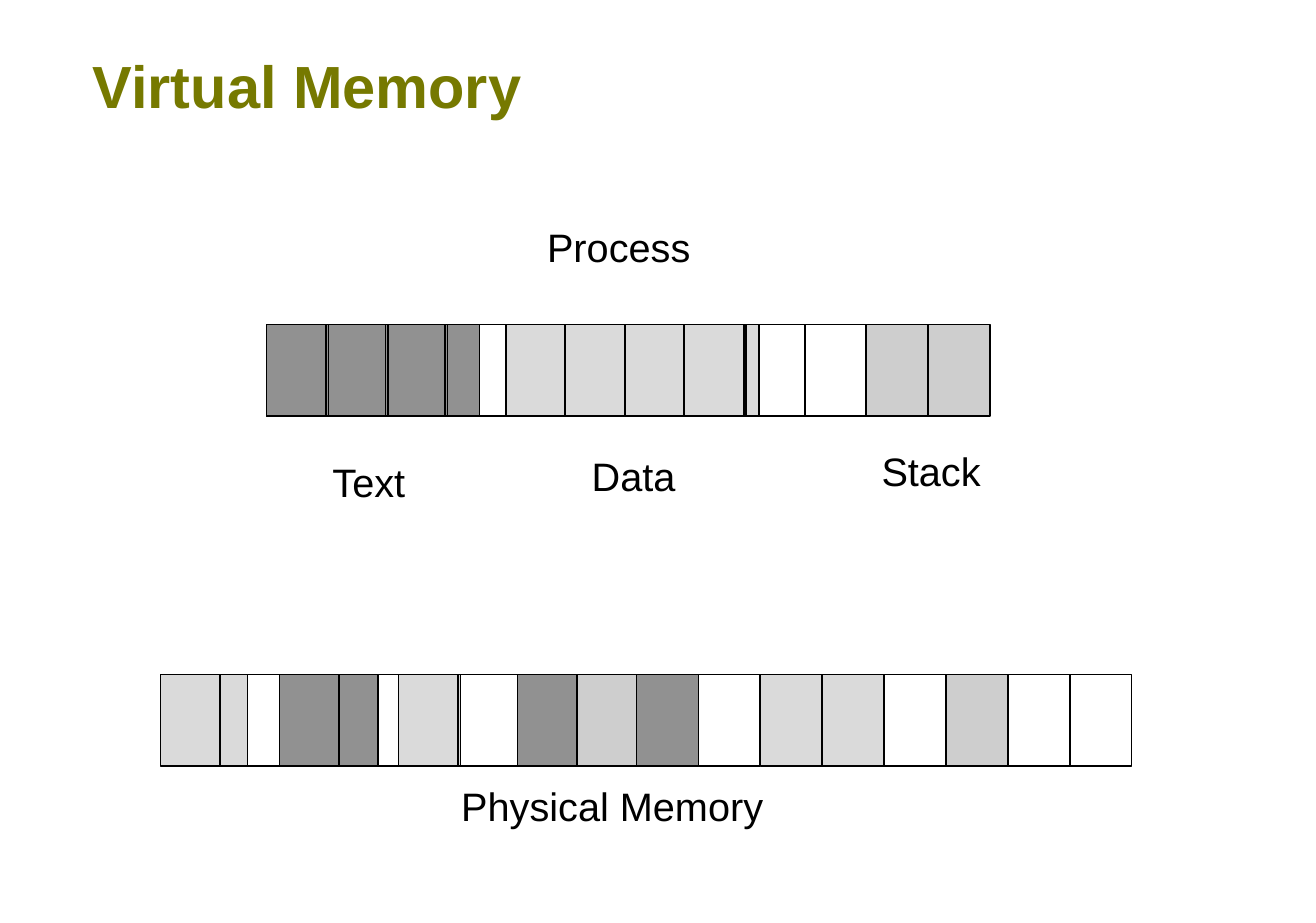
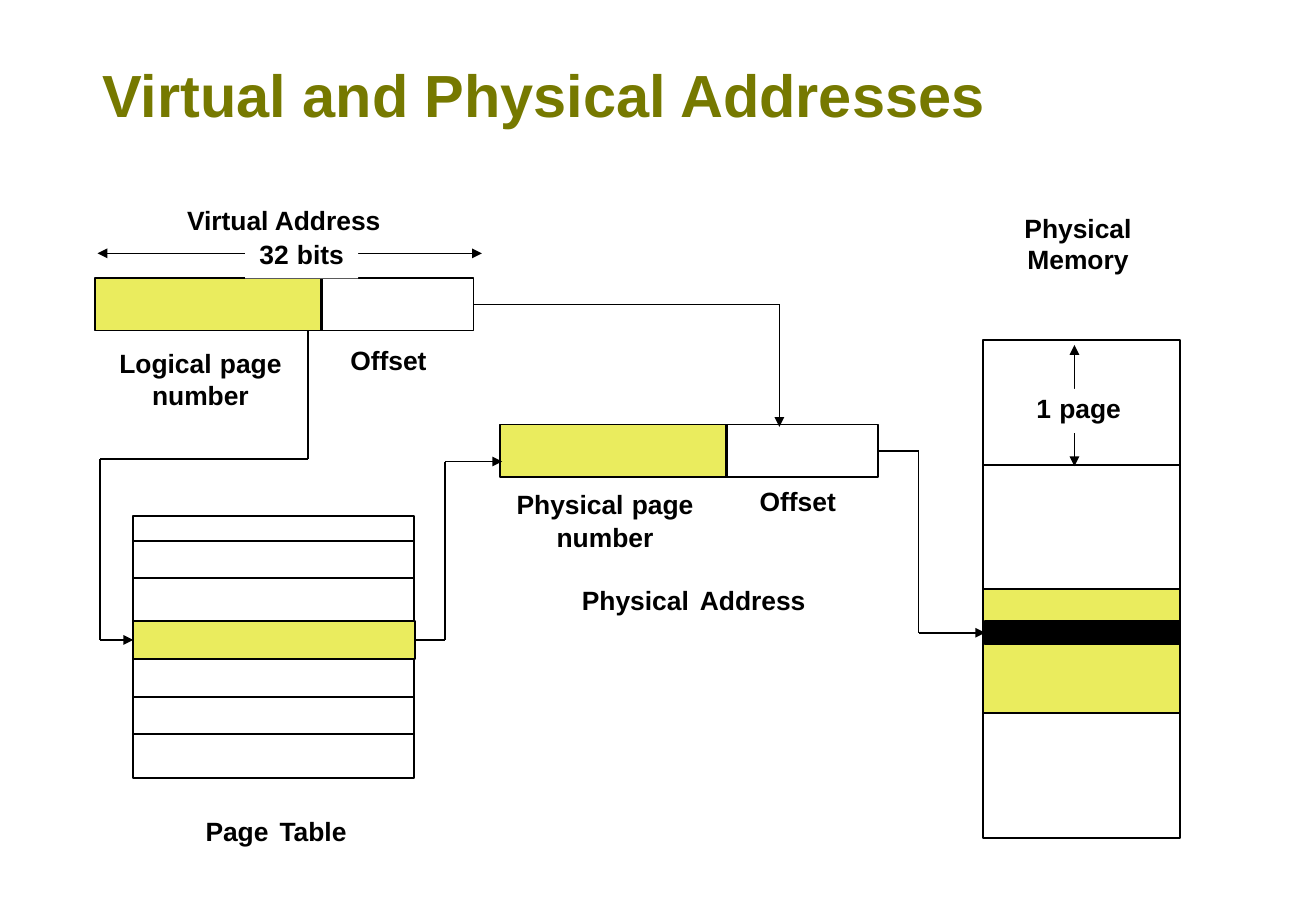
from lxml import etree
from pptx import Presentation
from pptx.dml.color import RGBColor
from pptx.enum import shapes, text
from pptx.oxml import ns
from pptx.util import Inches, Pt

BLACK = RGBColor(0x00, 0x00, 0x00)
WHITE = RGBColor(0xFF, 0xFF, 0xFF)
OLIVE = RGBColor(0x76, 0x79, 0x00)
YELLOW = RGBColor(0xEA, 0xEC, 0x5E)
TEXT_GREY = RGBColor(0x91, 0x91, 0x91)
DATA_GREY = RGBColor(0xDA, 0xDA, 0xDA)
STACK_GREY = RGBColor(0xCE, 0xCE, 0xCE)

TOP, LEFT, RIGHT = 0, 1, 3


class Deck:
    """Holds the shared style and the slide being drawn."""

    font = "Arial"
    title_size = 36
    line_width = Pt(1)

    def __init__(self, width, height):
        self.deck = Presentation()
        self.deck.slide_width = Inches(width)
        self.deck.slide_height = Inches(height)
        self.page = None

    def new_page(self, title, left, top):
        self.page = self.deck.slides.add_slide(self.deck.slide_layouts[6])
        self.label(title, left, top, 9.2, 1.16, size=self.title_size,
                   color=OLIVE, align=text.PP_ALIGN.LEFT)

    def label(self, wording, left, top, width, height, size=16, bold=True, gap=None,
              color=BLACK, align=text.PP_ALIGN.CENTER, fill=None):
        """Text box, one paragraph a line; gap is the size of the spaces, if it differs."""
        box = self.page.shapes.add_textbox(
            Inches(left), Inches(top), Inches(width), Inches(height))
        if fill is not None:
            box.fill.solid()
            box.fill.fore_color.rgb = fill
        frame = box.text_frame
        frame.word_wrap = True
        frame.margin_left = frame.margin_right = 0
        frame.margin_top = frame.margin_bottom = 0
        for index, line in enumerate(wording.split("\n")):
            para = frame.paragraphs[0] if index == 0 else frame.add_paragraph()
            para.alignment = align
            for position, part in enumerate(line.split(" ") if gap else [line]):
                if position:
                    self.span(para, " ", gap, bold, color)
                self.span(para, part, size, bold, color)

    def span(self, para, wording, size, bold, color):
        span = para.add_run()
        span.text = wording
        span.font.name = self.font
        span.font.size = Pt(size)
        span.font.bold = bold
        span.font.color.rgb = color

    def block(self, left, top, width, height, fill=None):
        """Outlined rectangle, see-through without a fill."""
        box = self.page.shapes.add_shape(
            shapes.MSO_SHAPE.RECTANGLE,
            Inches(left), Inches(top), Inches(width), Inches(height))
        box.shadow.inherit = False
        if fill is None:
            box.fill.background()
        else:
            box.fill.solid()
            box.fill.fore_color.rgb = fill
        box.line.color.rgb = BLACK
        box.line.width = self.line_width
        return box

    def line(self, start, end, arrows=()):
        """Straight line; arrows names its pointed ends: headEnd, tailEnd."""
        line = self.page.shapes.add_connector(
            shapes.MSO_CONNECTOR.STRAIGHT, *(Inches(value) for value in (*start, *end)))
        line.line.color.rgb = BLACK
        line.line.width = self.line_width
        outline = line.line._get_or_add_ln()
        for arrow in arrows:
            etree.SubElement(outline, ns.qn("a:" + arrow), type="triangle")
        etree.SubElement(line._element.spPr, ns.qn("a:effectLst"))
        return line

    def route(self, points, begin=None, end=None, arrow=True):
        """Line through points; begin and end are (box, side) to join."""
        lines = [self.line(start, stop) for start, stop in zip(points[:-2], points[1:-1])]
        lines.append(self.line(points[-2], points[-1], ["tailEnd"] if arrow else ()))
        if begin:
            lines[0].begin_connect(*begin)
        if end:
            lines[-1].end_connect(*end)


def draw_virtual_memory(deck):
    deck.new_page("Virtual Memory", 0.78, 0.41)
    cell_width, cell_height = 0.52, 0.77

    memory_top = 5.67
    memory_fills = [
        DATA_GREY, None, TEXT_GREY, None, DATA_GREY, None, TEXT_GREY, STACK_GREY,
        TEXT_GREY, None, DATA_GREY, DATA_GREY, None, STACK_GREY, None, None]
    for index, fill in enumerate(memory_fills):
        left = 1.35 + 0.5 * index + 0.02 * max(0, index - 8)
        deck.block(left, memory_top, cell_width, cell_height, fill)
    for left, width, fill in [(2.85, 0.33, TEXT_GREY), (1.85, 0.23, DATA_GREY)]:
        deck.block(left, memory_top, width, cell_height, fill)

    process_top = 2.73
    deck.block(2.24, process_top, 1.79, cell_height, TEXT_GREY)
    deck.block(4.25, process_top, 2.13, cell_height, DATA_GREY)
    segments = [
        (2.24, 0.5, [None] * 4),
        (4.25, 0.5, [DATA_GREY] * 4 + [None]),
        (6.76, 0.52, [None, STACK_GREY, STACK_GREY])]
    for left, pitch, fills in segments:
        for index, fill in enumerate(fills):
            deck.block(left + pitch * index, process_top, cell_width, cell_height, fill)

    captions = [
        ("Process", 4.5, 1.87, 1.4), ("Physical Memory", 3.73, 6.57, 2.83),
        ("Text", 2.6, 3.85, 1), ("Data", 4.91, 3.8, 0.83), ("Stack", 7.33, 3.76, 0.99)]
    for wording, left, top, width in captions:
        deck.label(wording, left, top, width, 0.46, size=24, bold=False)


def draw_address(deck, left, top):
    """Page number and offset side by side; returns the offset box."""
    deck.block(left, top, 1.91, 0.44, YELLOW)
    return deck.block(left + 1.9, top, 1.28, 0.44)


def draw_addresses(deck):
    deck.new_page("Virtual and Physical Addresses", 0.86, 0.49)

    for index, fill in enumerate([None, None, YELLOW, None]):
        deck.block(8.26, 2.86 + 1.045 * index, 1.66, 1.05, fill)
    target = deck.block(8.28, 5.22, 1.64, 0.2, BLACK)

    deck.block(1.12, 4.34, 2.36, 2.2)
    entry = deck.block(1.12, 5.22, 2.37, 0.32, YELLOW)
    for top in (4.55, 4.86, 5.86, 6.17):
        deck.line((1.13, top), (3.49, top))

    virtual_offset = draw_address(deck, 0.8, 2.34)
    physical_offset = draw_address(deck, 4.2, 3.57)

    both_ends = ["headEnd", "tailEnd"]
    deck.line((0.82, 2.13), (4.05, 2.13), both_ends)
    deck.line((9.03, 2.9), (9.03, 3.92), both_ends)
    deck.label("32 bits", 2.06, 1.97, 0.95, 0.37, gap=18, fill=WHITE)
    deck.label("1 page", 8.54, 3.27, 1.05, 0.37, gap=18, fill=WHITE)

    deck.route([(2.59, 2.78), (2.59, 3.86), (0.84, 3.86), (0.84, 5.38), (1.12, 5.38)],
               end=(entry, LEFT))
    deck.route([(3.49, 5.38), (3.74, 5.38), (3.74, 3.88), (4.22, 3.88)],
               begin=(entry, RIGHT))
    deck.route([(3.98, 2.56), (6.55, 2.56), (6.55, 3.59)],
               begin=(virtual_offset, RIGHT))
    deck.route([(7.38, 3.79), (7.72, 3.79), (7.72, 5.32), (8.28, 5.32)],
               begin=(physical_offset, RIGHT), end=(target, LEFT))

    captions = [
        ("Logical page\nnumber", 0.87, 2.89, 1.63, 0.64, 18),
        ("Offset", 2.85, 2.89, 0.83, 0.34, None),
        ("Page Table", 1.39, 6.74, 1.86, 0.46, 24),
        ("Physical\nMemory", 8.33, 1.78, 1.46, 0.84, None),
        ("Physical page\nnumber", 4.2, 4.08, 1.77, 0.64, 18),
        ("Offset", 6.29, 4.08, 0.83, 0.34, None),
        ("Virtual Address", 1.1, 1.72, 2.57, 0.44, None),
        ("Physical Address", 4.39, 4.8, 2.88, 0.46, 24)]
    for wording, left, top, width, height, gap in captions:
        deck.label(wording, left, top, width, height, gap=gap)


def main():
    deck = Deck(11.06, 7.76)
    draw_virtual_memory(deck)
    draw_addresses(deck)
    deck.deck.save("out.pptx")


if __name__ == "__main__":
    main()
